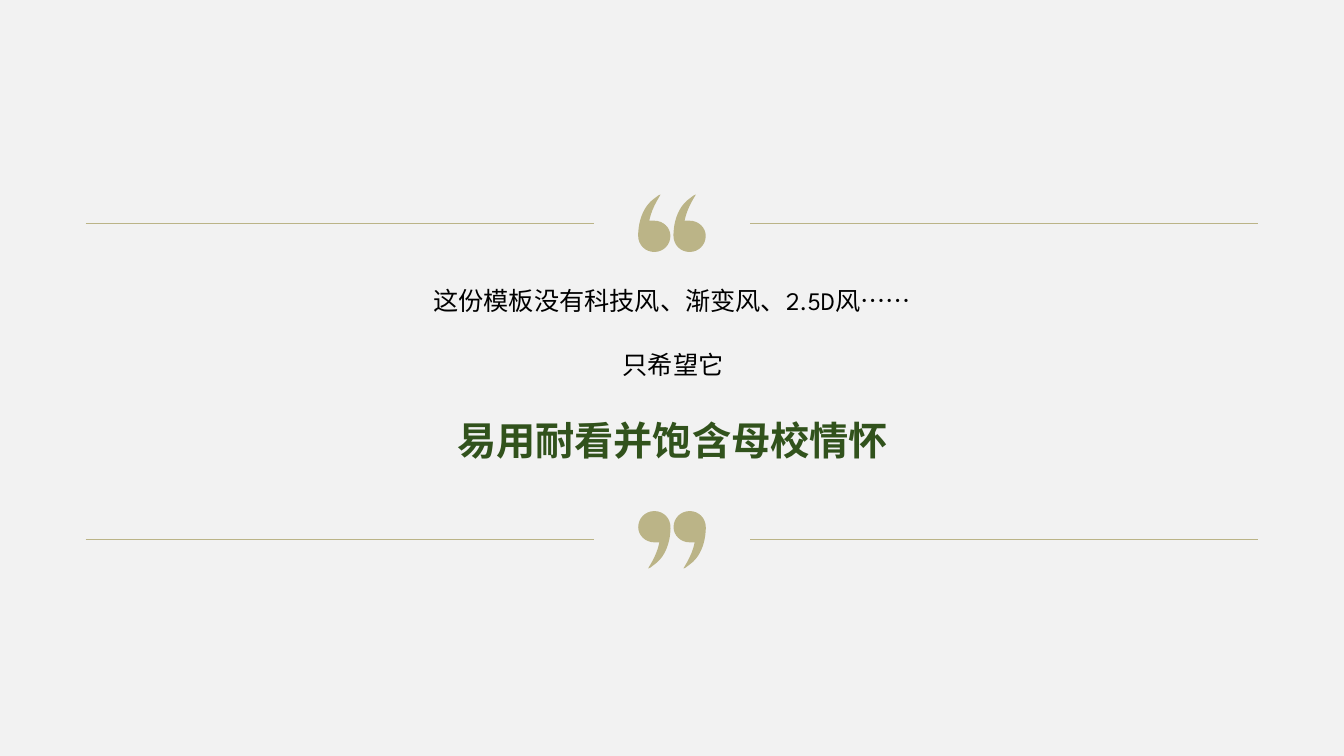
from lxml import etree
from pptx import Presentation, util as u
from pptx.dml.color import RGBColor
from pptx.enum import shapes, text
from pptx.oxml.ns import qn

COLORS = {"background": "F2F2F2", "olive": "BBB487", "black": "000000", "green": "31521C"}
MARK_START = (0.22, 0)
MARK_CURVES = [
    ((0.23, 0), (0.14, 0.11), (0.11, 0.26)),
    ((0.13, 0.26), (0.14, 0.26), (0.16, 0.26)),
    ((0.25, 0.26), (0.32, 0.33), (0.32, 0.41)),
    ((0.32, 0.5), (0.25, 0.57), (0.16, 0.57)),
    ((0.07, 0.57), (0, 0.5), (0, 0.41)),
    ((0, 0.41), (0, 0.41), (0, 0.41)),
    ((0, 0.41), (-0.01, 0.16), (0.16, 0.04)),
    ((0.2, 0.01), (0.21, 0), (0.22, 0)),
]
MARK_OFFSETS = (0.35, 0)


class QuoteSlide:
    font = "League Spartan"

    def __init__(self, presentation):
        self.slide = presentation.slides.add_slide(presentation.slide_layouts[6])
        fill = self.slide.background.fill
        fill.solid()
        fill.fore_color.rgb = self.color("background")

    def color(self, name):
        return RGBColor.from_string(COLORS[name])

    def rule(self, left, right, y):
        line = self.slide.shapes.add_connector(
            shapes.MSO_CONNECTOR.STRAIGHT,
            u.Inches(left), u.Inches(y), u.Inches(right), u.Inches(y))
        line.line.color.rgb = self.color("olive")
        line.line.width = u.Pt(1)
        etree.SubElement(line._element.spPr, qn("a:effectLst"))

    def quote_marks(self, left, top, rotation):
        def place(point, offset):
            return u.Inches(left + offset + point[0]), u.Inches(top + point[1])

        builder = self.slide.shapes.build_freeform(
            *place(MARK_START, MARK_OFFSETS[0]), scale=1.0)
        for index, offset in enumerate(MARK_OFFSETS):
            if index:
                builder.move_to(*place(MARK_START, offset))
            builder.add_line_segments([place(curve[-1], offset) for curve in MARK_CURVES])
        shape = builder.convert_to_shape()
        self.bend(shape)
        shape.rotation = rotation
        shape.shadow.inherit = False
        shape.fill.solid()
        shape.fill.fore_color.rgb = self.color("olive")
        shape.line.fill.background()

    def bend(self, shape):
        curves = [(offset, curve) for offset in MARK_OFFSETS for curve in MARK_CURVES]
        segments = list(shape._element.iter(qn("a:lnTo")))
        for segment, (offset, curve) in zip(segments, curves):
            segment.tag = qn("a:cubicBezTo")
            for index, (x, y) in enumerate(curve[:2]):
                point = etree.Element(qn("a:pt"), x=str(u.Inches(offset + x)),
                                      y=str(u.Inches(y)))
                segment.insert(index, point)

    def label(self, wording, left, top, width, height, size, color, bold=None):
        box = self.slide.shapes.add_textbox(
            u.Inches(left), u.Inches(top), u.Inches(width), u.Inches(height))
        frame = box.text_frame
        frame.text = wording
        frame.word_wrap = False
        frame.auto_size = text.MSO_AUTO_SIZE.SHAPE_TO_FIT_TEXT
        paragraph = frame.paragraphs[0]
        paragraph.alignment = text.PP_ALIGN.CENTER
        font = paragraph.runs[0].font
        font.name = self.font
        font.size = u.Pt(size)
        font.bold = bold
        font.color.rgb = self.color(color)


def main():
    presentation = Presentation()
    presentation.slide_width = u.Inches(13.33)
    presentation.slide_height = u.Inches(7.5)
    quote = QuoteSlide(presentation)
    for marks_top, rule_y, rotation in ((1.93, 2.22, 0), (5.07, 5.35, 180)):
        quote.quote_marks(6.33, marks_top, rotation)
        for left, right in ((0.85, 5.89), (7.44, 12.48)):
            quote.rule(left, right, rule_y)
    quote.label("这份模板没有科技风、渐变风、2.5D风……", 4.15, 2.78, 5.03, 0.4, 18, "black")
    quote.label("只希望它", 6.07, 3.42, 1.21, 0.4, 18, "black")
    quote.label("易用耐看并饱含母校情怀", 4.41, 4.08, 4.52, 0.57, 28, "green", bold=True)
    presentation.save("out.pptx")


if __name__ == "__main__":
    main()
